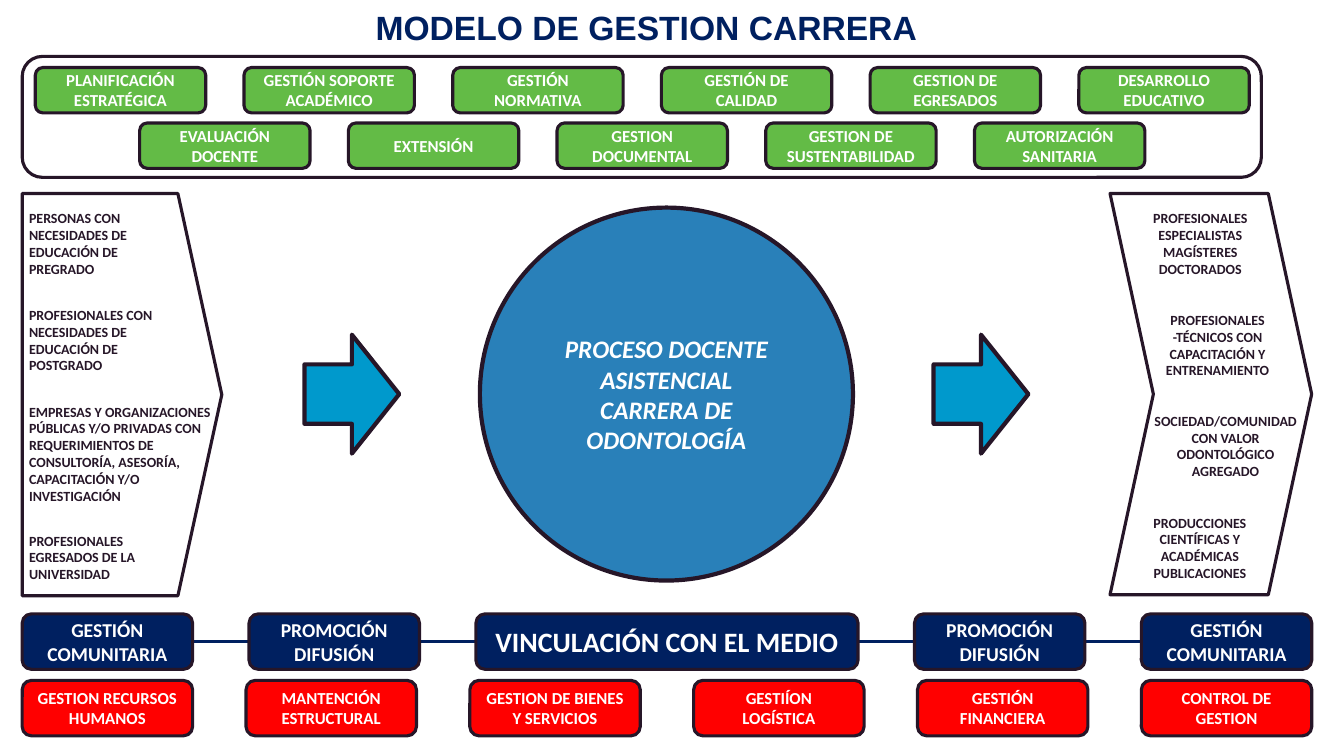
from lxml import etree
from pptx import Presentation
from pptx.dml.color import RGBColor
from pptx.enum.shapes import MSO_CONNECTOR, MSO_SHAPE
from pptx.enum.text import MSO_ANCHOR, MSO_AUTO_SIZE, PP_ALIGN
from pptx.oxml.ns import qn
from pptx.util import Inches, Pt

ROUND, OVAL, ARROW = MSO_SHAPE.ROUNDED_RECTANGLE, MSO_SHAPE.OVAL, MSO_SHAPE.RIGHT_ARROW
PENTAGON, CHEVRON = MSO_SHAPE.PENTAGON, MSO_SHAPE.CHEVRON
LEFT, CENTER, MIDDLE = PP_ALIGN.LEFT, PP_ALIGN.CENTER, MSO_ANCHOR.MIDDLE

NAVY = RGBColor(0x00, 0x20, 0x60)
DARK = RGBColor(0x26, 0x16, 0x28)
GREEN = RGBColor(0x63, 0xBB, 0x46)
RED = RGBColor(0xFF, 0x00, 0x00)
BLUE = RGBColor(0x29, 0x80, 0xB9)
CYAN = RGBColor(0x00, 0x99, 0xCC)
WHITE = RGBColor(0xFF, 0xFF, 0xFF)

TITLE = "MODELO DE GESTION CARRERA"
PROCESS = "PROCESO DOCENTE ASISTENCIAL\nCARRERA DE ODONTOLOGÍA"
STRATEGY_TOP = ["PLANIFICACIÓN ESTRATÉGICA", "GESTIÓN SOPORTE ACADÉMICO", "GESTIÓN NORMATIVA",
                "GESTIÓN DE CALIDAD", "GESTION DE EGRESADOS", "DESARROLLO EDUCATIVO"]
STRATEGY_BOTTOM = ["EVALUACIÓN DOCENTE", "EXTENSIÓN", "GESTION DOCUMENTAL",
                   "GESTION DE SUSTENTABILIDAD", "AUTORIZACIÓN SANITARIA"]
SUPPORT = ["GESTION RECURSOS HUMANOS", "MANTENCIÓN ESTRUCTURAL", "GESTION DE BIENES\vY SERVICIOS",
           "GESTIÍON\vLOGÍSTICA", "GESTIÓN FINANCIERA", "CONTROL DE GESTION"]
# left, width, size, text
OUTREACH = [
    (0.22, 1.69, 14, "GESTIÓN COMUNITARIA"),
    (2.47, 1.69, 14, "PROMOCIÓN DIFUSIÓN"),
    (4.72, 3.79, 20, "VINCULACIÓN CON EL MEDIO"),
    (9.07, 1.69, 14, "PROMOCIÓN DIFUSIÓN"),
    (11.32, 1.69, 14, "GESTIÓN COMUNITARIA"),
]
# left, top, width, height, text
INPUTS = [
    (0.19, 2.03, 1.73, 0.72, "PERSONAS CON NECESIDADES DE EDUCACIÓN DE PREGRADO"),
    (0.19, 2.99, 1.73, 0.72, "PROFESIONALES CON NECESIDADES DE EDUCACIÓN DE POSTGRADO"),
    (0.19, 3.95, 2.03, 1.03, "EMPRESAS Y ORGANIZACIONES PÚBLICAS Y/O PRIVADAS CON "
     "REQUERIMIENTOS DE CONSULTORÍA, ASESORÍA, CAPACITACIÓN Y/O INVESTIGACIÓN"),
    (0.19, 5.23, 1.81, 0.56, "PROFESIONALES EGRESADOS DE LA UNIVERSIDAD"),
]
OUTPUTS = [
    (11.29, 2.03, 1.23, 0.72, "PROFESIONALES\nESPECIALISTAS\nMAGÍSTERES\nDOCTORADOS"),
    (11.45, 3.04, 1.25, 0.72, "PROFESIONALES -TÉCNICOS CON CAPACITACIÓN Y ENTRENAMIENTO"),
    (11.27, 4.04, 1.77, 0.72, "SOCIEDAD/COMUNIDAD CON VALOR ODONTOLÓGICO AGREGADO"),
    (11.29, 5.05, 1.22, 0.72, "PRODUCCIONES CIENTÍFICAS Y ACADÉMICAS PUBLICACIONES"),
]

BOX_W = 1.69
STRATEGY_LEFT, STRATEGY_STEP, STRATEGY_H = 0.35, 2.07, 0.45
BASE_LEFT, SUPPORT_STEP, BASE_H = 0.22, 2.22, 0.55
OUTREACH_TOP, SUPPORT_TOP = 6.09, 6.75

prs = Presentation()
prs.slide_width, prs.slide_height = Inches(13.33), Inches(7.5)
s = prs.slides.add_slide(prs.slide_layouts[5])


def write(tf, text, size, color, align=CENTER, font="Calibri", italic=False):
    tf.word_wrap = True
    tf.text = text
    for p in tf.paragraphs:
        p.alignment = align
        p.font.size, p.font.name = Pt(size), font
        p.font.bold, p.font.italic = True, italic
        p.font.color.rgb = color


def add_shape(kind, left, top, width, height, fill=None, line=2.25):
    sp = s.shapes.add_shape(kind, Inches(left), Inches(top), Inches(width), Inches(height))
    sp.shadow.inherit = False
    if fill is None:
        sp.fill.background()
    else:
        sp.fill.solid()
        sp.fill.fore_color.rgb = fill
    sp.line.color.rgb = DARK
    sp.line.width = Pt(line)
    return sp


def add_box(left, top, width, height, fill, text, size=12):
    sp = add_shape(ROUND, left, top, width, height, fill)
    sp.text_frame.vertical_anchor = MIDDLE
    write(sp.text_frame, text, size, WHITE)


def add_row(labels, left, step, top, height, fill):
    for i, label in enumerate(labels):
        add_box(left + i * step, top, BOX_W, height, fill, label)


def add_notes(items, align):
    for left, top, width, height, text in items:
        box = s.shapes.add_textbox(Inches(left), Inches(top), Inches(width), Inches(height))
        write(box.text_frame, text, 10, DARK, align)


title = s.shapes.title
title.left, title.top, title.width, title.height = Inches(0), Inches(0.01), Inches(12.82), Inches(0.51)
write(title.text_frame, TITLE, 24, NAVY, font="Arial")
title.text_frame.vertical_anchor = MIDDLE
title.text_frame.auto_size = MSO_AUTO_SIZE.NONE

# Strategic processes: the lower row sits half a step to the right
add_shape(ROUND, 0.22, 0.56, 12.29, 1.2)
add_row(STRATEGY_TOP, STRATEGY_LEFT, STRATEGY_STEP, 0.67, STRATEGY_H, GREEN)
add_row(STRATEGY_BOTTOM, STRATEGY_LEFT + STRATEGY_STEP / 2, STRATEGY_STEP, 1.22, STRATEGY_H, GREEN)

# Core process between inputs and outputs
for arrow_left in (3.02, 9.26):
    add_shape(ARROW, arrow_left, 3.32, 0.94, 1.18, CYAN, 3)
process = add_shape(OVAL, 4.76, 2.06, 3.7, 3.7, BLUE, 3)
process.text_frame.vertical_anchor = MIDDLE
write(process.text_frame, PROCESS, 18, WHITE, italic=True)

add_shape(PENTAGON, 0.22, 1.92, 1.98, 3.99).adjustments[0] = 0.22
add_notes(INPUTS, LEFT)
add_shape(CHEVRON, 11.01, 1.92, 2, 3.98).adjustments[0] = 0.215
add_notes(OUTPUTS, CENTER)

# Outreach and support
link_y = Inches(OUTREACH_TOP + BASE_H / 2)
link = s.shapes.add_connector(MSO_CONNECTOR.STRAIGHT, Inches(1.91), link_y, Inches(11.32), link_y)
link.line.color.rgb = NAVY
link.line.width = Pt(2.25)
etree.SubElement(link._element.spPr, qn("a:effectLst"))
for left, width, size, text in OUTREACH:
    add_box(left, OUTREACH_TOP, width, BASE_H, NAVY, text, size)
add_row(SUPPORT, BASE_LEFT, SUPPORT_STEP, SUPPORT_TOP, BASE_H, RED)

prs.save("out.pptx")
